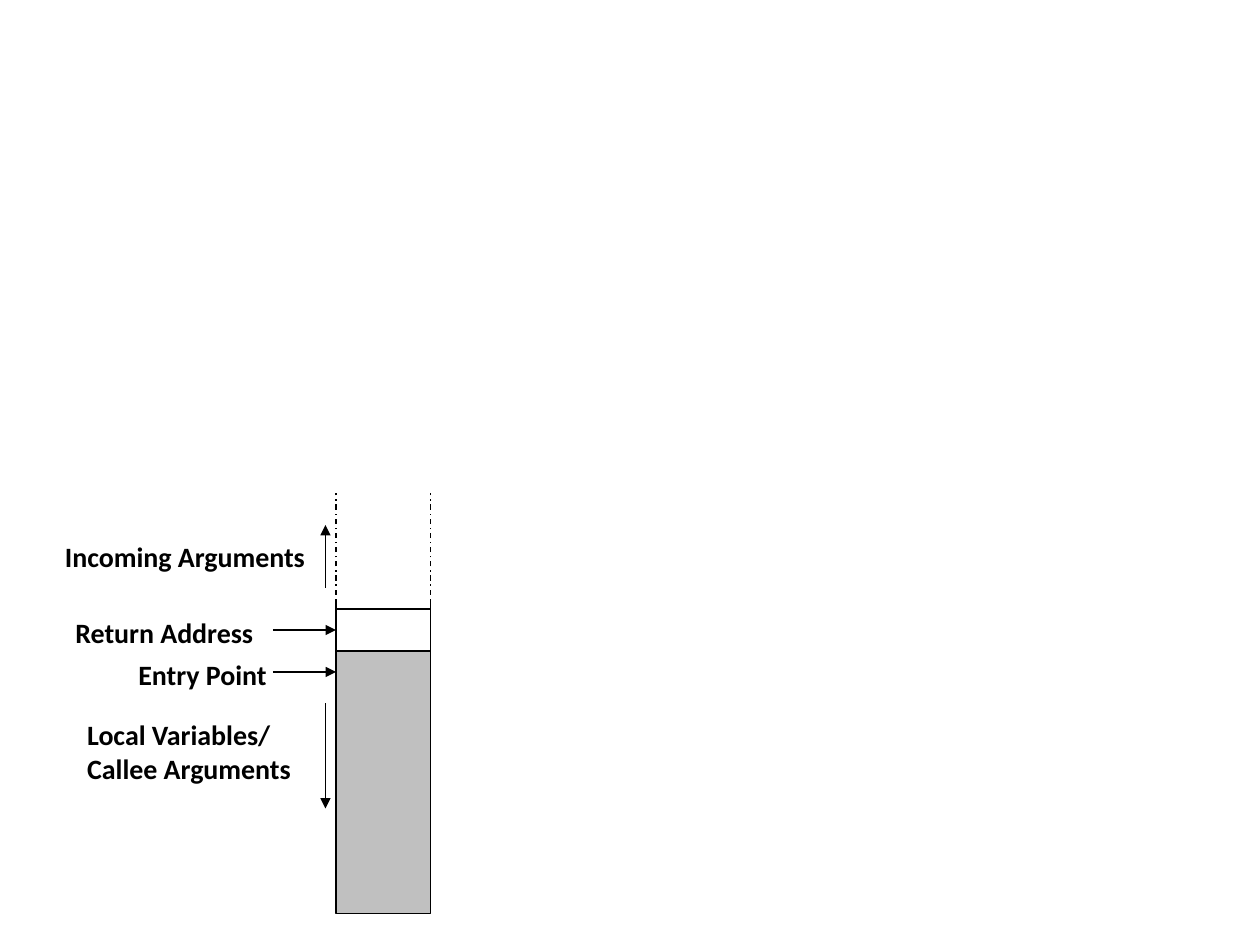
from lxml import etree
from pptx import Presentation
from pptx import util as u
from pptx.dml.color import RGBColor
from pptx.enum import dml, shapes, text
from pptx.oxml.ns import qn

PX = 9525  # EMU per px, 96 px to the inch
THEME = {
    "ink": RGBColor(0, 0, 0),
    "fill": RGBColor(0xC0, 0xC0, 0xC0),
    "font": "Calibri",
    "size": u.Pt(16),
    "line": u.Pt(0.75),
}

# Stack frame edges
LEFT, RIGHT = 256, 328
TOP, ARGS, ENTRY, BASE = 376, 464, 496, 696
STUB = 456  # solid sides start just above the return address
TAIL, SIDE = 208, 248  # start of pointers, column of direction arrows

# Lines of text, box (left, top, width, height), wrap
LABELS = [
    (["Local Variables/", "Callee Arguments"], (57, 542, 175, 61), False),
    (["Return Address"], (48, 464, 168, 35), True),
    (["Incoming Arguments"], (40, 406, 203, 35), False),
    (["Entry Point"], (96, 496, 168, 35), True),
]
# x1, y1, x2, y2
ARROWS = [
    (TAIL, 480, LEFT, 480),
    (TAIL, 512, LEFT, 512),
    (SIDE, 448, SIDE, 400),
    (SIDE, 536, SIDE, 616),
]


def px(*nums):
    return [u.Emu(n * PX) for n in nums]


def add_line(slide, ends, arrow=False, dash=None):
    line = slide.shapes.add_connector(shapes.MSO_CONNECTOR.STRAIGHT, *px(*ends))
    line.line.color.rgb = THEME["ink"]
    line.line.width = THEME["line"]
    if dash:
        line.line.dash_style = dash
    if arrow:
        etree.SubElement(line.line._get_or_add_ln(), qn("a:tailEnd"), type="triangle")
    etree.SubElement(line._element.spPr, qn("a:effectLst"))


def add_label(slide, rows, box, wrap):
    frame = slide.shapes.add_textbox(*px(*box)).text_frame
    frame.word_wrap = wrap
    frame.auto_size = text.MSO_AUTO_SIZE.SHAPE_TO_FIT_TEXT
    frame.text = "\n".join(rows)
    for para in frame.paragraphs:
        font = para.font
        font.name, font.size, font.bold = THEME["font"], THEME["size"], True
        font.color.rgb = THEME["ink"]


def main():
    deck = Presentation()
    deck.slide_width, deck.slide_height = px(960, 720)
    slide = deck.slides.add_slide(deck.slide_layouts[6])

    # Local frame block
    block = slide.shapes.add_shape(
        shapes.MSO_SHAPE.RECTANGLE, *px(LEFT, ENTRY, RIGHT - LEFT, BASE - ENTRY))
    block.shadow.inherit = False
    block.fill.solid()
    block.fill.fore_color.rgb = THEME["fill"]
    block.line.color.rgb = THEME["ink"]
    block.line.width = THEME["line"]

    # Sides of the open stack and of the return address cell
    for x in (LEFT, RIGHT):
        add_line(slide, (x, ARGS, x, TOP), dash=dml.MSO_LINE.DASH_DOT)
        add_line(slide, (x, ENTRY, x, STUB))
    add_line(slide, (LEFT, ARGS, RIGHT, ARGS))

    # Arrows and labels
    for ends in ARROWS:
        add_line(slide, ends, arrow=True)
    for label in LABELS:
        add_label(slide, *label)

    deck.save("out.pptx")


if __name__ == "__main__":
    main()
